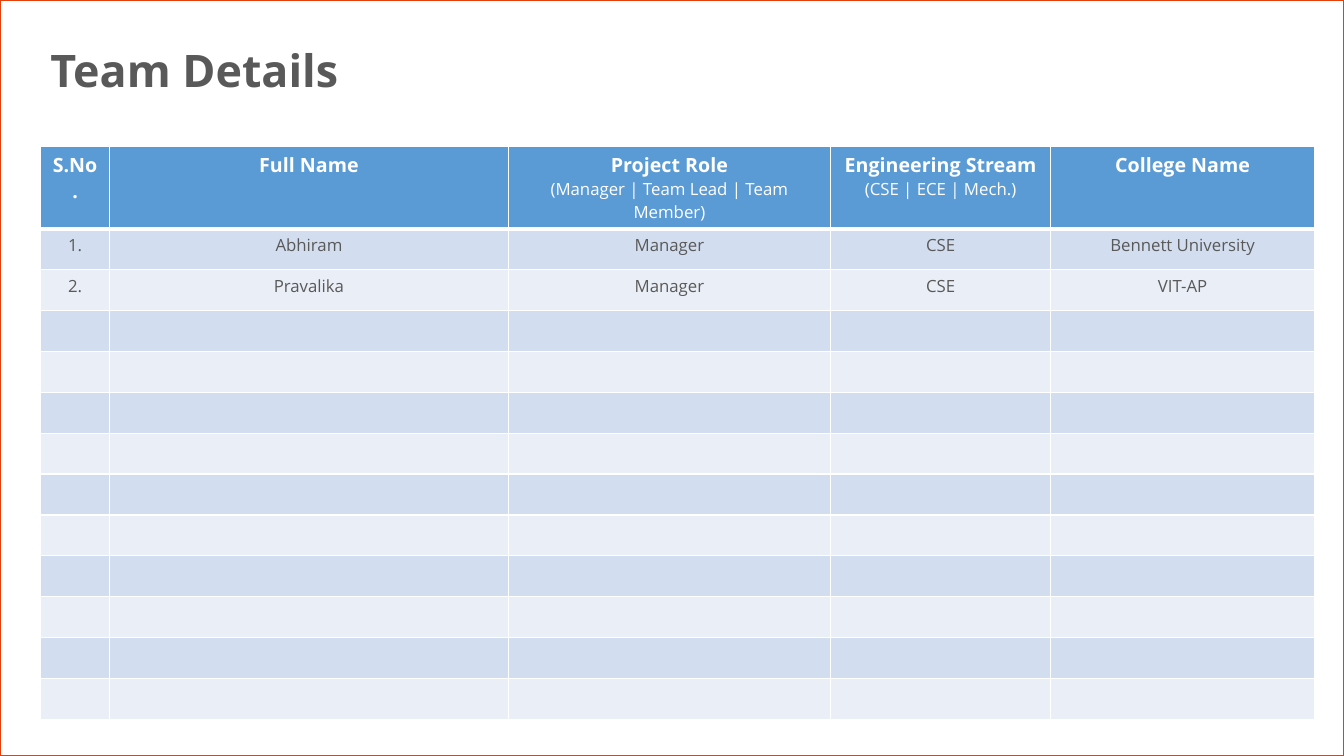
from lxml import etree
from pptx import Presentation
from pptx.dml.color import RGBColor
from pptx.enum.shapes import MSO_SHAPE
from pptx.enum.text import MSO_ANCHOR, PP_ALIGN
from pptx.oxml.ns import qn
from pptx.util import Inches, Pt

LEFT, CENTER = PP_ALIGN.LEFT, PP_ALIGN.CENTER
MIDDLE = MSO_ANCHOR.MIDDLE
RECTANGLE = MSO_SHAPE.RECTANGLE
TITLE_ONLY = 5

FONT = "Open Sans"
WHITE, GREY, BLUE, ORANGE = "FFFFFF", "595959", "5B9BD5", "E63F0C"
BANDS = ("D2DEEF", "EAEFF7")

PAGE_WIDTH, PAGE_HEIGHT = 13.33, 7.5
MARGIN, TITLE_HEIGHT = 0.4, 1.45
TABLE_HEIGHT, HEADER_HEIGHT = 5.69, 0.82
COLUMN_WIDTHS = (0.69, 3.95, 3.2, 2.18, 2.62)
MEMBER_ROWS = 12

HEADINGS = (
    ("S.No.",),
    ("Full Name",),
    ("Project Role", "(Manager | Team Lead | Team Member)"),
    ("Engineering Stream", "(CSE | ECE | Mech.)"),
    ("College Name",),
)
MEMBERS = (
    ("1.", "Abhiram", "Manager", "CSE", "Bennett University"),
    ("2.", "Pravalika", "Manager", "CSE", "VIT-AP"),
)


def color(value):
    return RGBColor.from_string(value)


def write(para, text, size, tint, bold=False, align=CENTER):
    para.text = text
    para.alignment = align
    font = para.font
    font.name, font.size, font.bold = FONT, Pt(size), bold
    font.color.rgb = color(tint)


def add_title(page, box):
    title = page.shapes.title
    title.left, title.top, title.width, title.height = map(Inches, box)
    title.text_frame.vertical_anchor = MIDDLE
    para = title.text_frame.paragraphs[0]
    write(para, "Team Details", 32, GREY, True, LEFT)
    para.line_spacing = 0.9


def add_page_border(page, box):
    border = page.shapes.add_shape(RECTANGLE, *map(Inches, box))
    border.shadow.inherit = False
    border.fill.background()
    border.line.color.rgb = color(ORANGE)
    border.line.width = Pt(1)


def style_cell(cell, fill, top=1, bottom=1):
    properties = cell._tc.get_or_add_tcPr()
    for side, width in (("L", 1), ("R", 1), ("T", top), ("B", bottom)):
        line = etree.SubElement(properties, qn(f"a:ln{side}"), w=str(Pt(width)))
        solid = etree.SubElement(line, qn("a:solidFill"))
        etree.SubElement(solid, qn("a:srgbClr"), val=WHITE)
    cell.fill.solid()
    cell.fill.fore_color.rgb = color(fill)


def add_team_table(page, box):
    frame = page.shapes.add_table(
        MEMBER_ROWS + 1, len(COLUMN_WIDTHS), *map(Inches, box))
    table = frame.table
    for column, width in zip(table.columns, COLUMN_WIDTHS):
        column.width = Inches(width)
    header, *body = table.rows
    header.height = Inches(HEADER_HEIGHT)
    for cell, (heading, *hints) in zip(header.cells, HEADINGS):
        style_cell(cell, BLUE, bottom=3)
        write(cell.text_frame.paragraphs[0], heading, 14, WHITE, True)
        for hint in hints:
            write(cell.text_frame.add_paragraph(), hint, 12, WHITE)
    for index, row in enumerate(body):
        row.height = Inches((box[3] - HEADER_HEIGHT) / MEMBER_ROWS)
        for cell in row.cells:
            style_cell(cell, BANDS[index % 2], top=1 if index else 3)
    for row, member in zip(body, MEMBERS):
        for cell, text in zip(row.cells, member):
            write(cell.text_frame.paragraphs[0], text, 12, GREY)


def main():
    deck = Presentation()
    deck.slide_width = Inches(PAGE_WIDTH)
    deck.slide_height = Inches(PAGE_HEIGHT)
    page = deck.slides.add_slide(deck.slide_layouts[TITLE_ONLY])
    add_title(page, (MARGIN, 0, PAGE_WIDTH - MARGIN, TITLE_HEIGHT))
    add_page_border(page, (0, 0, PAGE_WIDTH, PAGE_HEIGHT))
    add_team_table(
        page, (MARGIN, TITLE_HEIGHT, sum(COLUMN_WIDTHS), TABLE_HEIGHT))
    deck.save("out.pptx")


if __name__ == "__main__":
    main()
